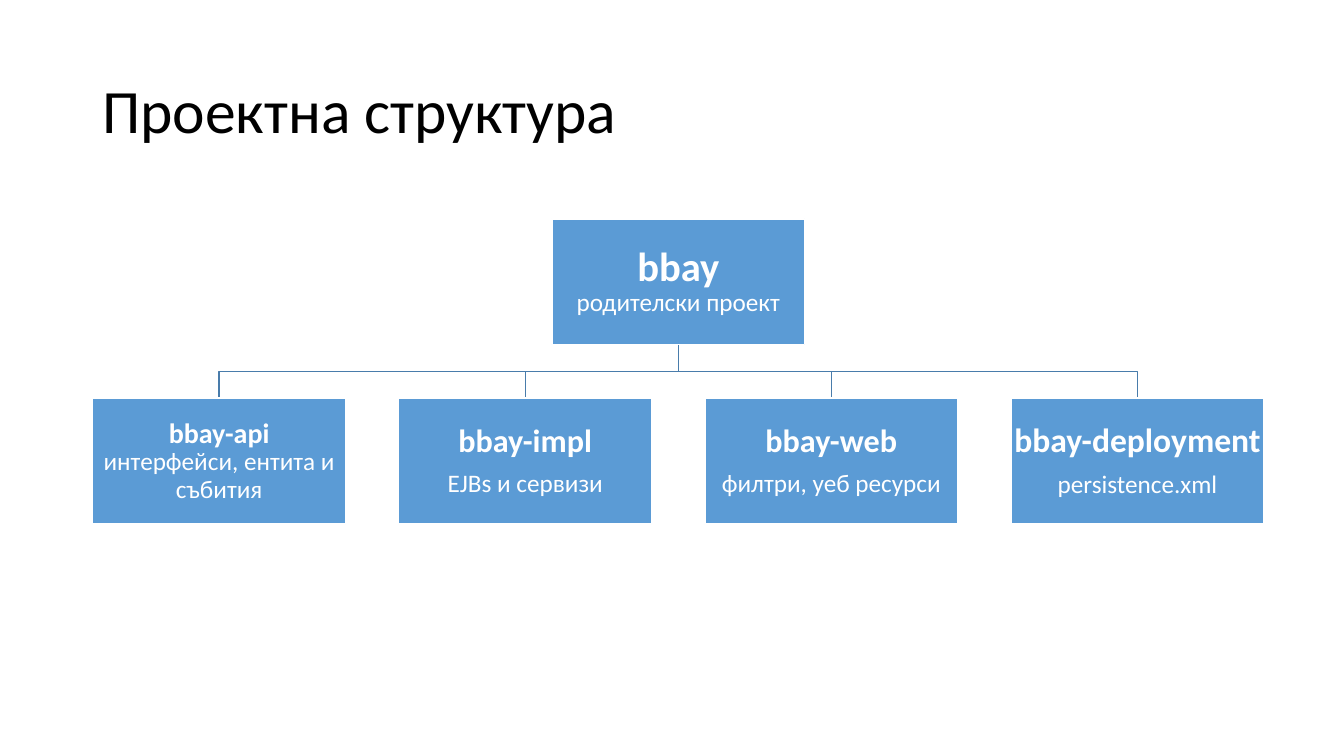
"""Builds a slide with the module tree of the bbay project."""
from pptx import Presentation
from pptx.dml.color import RGBColor
from pptx.enum.shapes import MSO_SHAPE as Shape
from pptx.enum.text import MSO_ANCHOR as Anchor, PP_ALIGN as Align
from pptx.util import Pt

BOX_W, BOX_H = 180.7, 90
LEFT, PITCH = 66.2, 218.65
ROOT_LEFT, ROOT_TOP, MODULE_TOP = LEFT + 1.5 * PITCH, 156.3, 284.4


def color(hex_code):
    return RGBColor.from_string(hex_code)


def style(run, size, hex_code, bold=False):
    run.font.name = "Calibri"
    run.font.size = Pt(size)
    run.font.bold = bold
    run.font.color.rgb = color(hex_code)


prs = Presentation()
prs.slide_width, prs.slide_height = Pt(960), Pt(540)
slide = prs.slides.add_slide(prs.slide_layouts[6])

title = slide.shapes.add_textbox(Pt(66), Pt(28.8), Pt(828), Pt(104.4)).text_frame
title.word_wrap = True
title.vertical_anchor = Anchor.MIDDLE
title.text = "Проектна структура"
title.paragraphs[0].line_spacing = 0.9
style(title.paragraphs[0].runs[0], 44, "000000")

root_x = ROOT_LEFT + BOX_W / 2
root_bottom = ROOT_TOP + BOX_H
fork_y = (root_bottom + MODULE_TOP) / 2
for column in reversed(range(4)):
    module_x = LEFT + column * PITCH + BOX_W / 2
    builder = slide.shapes.build_freeform(Pt(root_x), Pt(root_bottom))
    bends = [(root_x, fork_y), (module_x, fork_y), (module_x, MODULE_TOP)]
    builder.add_line_segments([(Pt(x), Pt(y)) for x, y in bends], close=False)
    branch = builder.convert_to_shape()
    branch.shadow.inherit = False
    branch.fill.background()
    branch.line.color.rgb = color("497CAB")
    branch.line.width = Pt(1)

projects = [
    (ROOT_LEFT, ROOT_TOP, "bbay", 29, "\v", "родителски проект"),
    (LEFT, MODULE_TOP, "bbay-api", 20, "\v", "интерфейси, ентита и събития"),
    (LEFT + PITCH, MODULE_TOP, "bbay-impl", 23, "\n", "EJBs и сервизи"),
    (LEFT + 2 * PITCH, MODULE_TOP, "bbay-web", 23, "\n", "филтри, уеб ресурси"),
    (LEFT + 3 * PITCH, MODULE_TOP, "bbay-deployment", 24, "\n", "persistence.xml"),
]
for left, top, name, name_size, separator, role in projects:
    project = slide.shapes.add_shape(Shape.RECTANGLE, Pt(left), Pt(top), Pt(BOX_W), Pt(BOX_H))
    project.shadow.inherit = False
    project.fill.solid()
    project.fill.fore_color.rgb = color("5B9BD5")
    project.line.color.rgb = color("FFFFFF")
    project.line.width = Pt(1)
    label = project.text_frame
    label.word_wrap = True
    label.vertical_anchor = Anchor.MIDDLE
    label.margin_left = label.margin_right = Pt(1.2)
    label.margin_top = label.margin_bottom = Pt(1.2)
    label.text = name + separator + role
    for paragraph in label.paragraphs:
        paragraph.alignment = Align.CENTER
        paragraph.line_spacing = 0.9
    if separator == "\n":
        label.paragraphs[0].space_after = Pt(0.35 * name_size)
    name_run, role_run = [run for paragraph in label.paragraphs for run in paragraph.runs]
    style(name_run, name_size, "FFFFFF", bold=True)
    style(role_run, 18, "FFFFFF")

prs.save("out.pptx")
